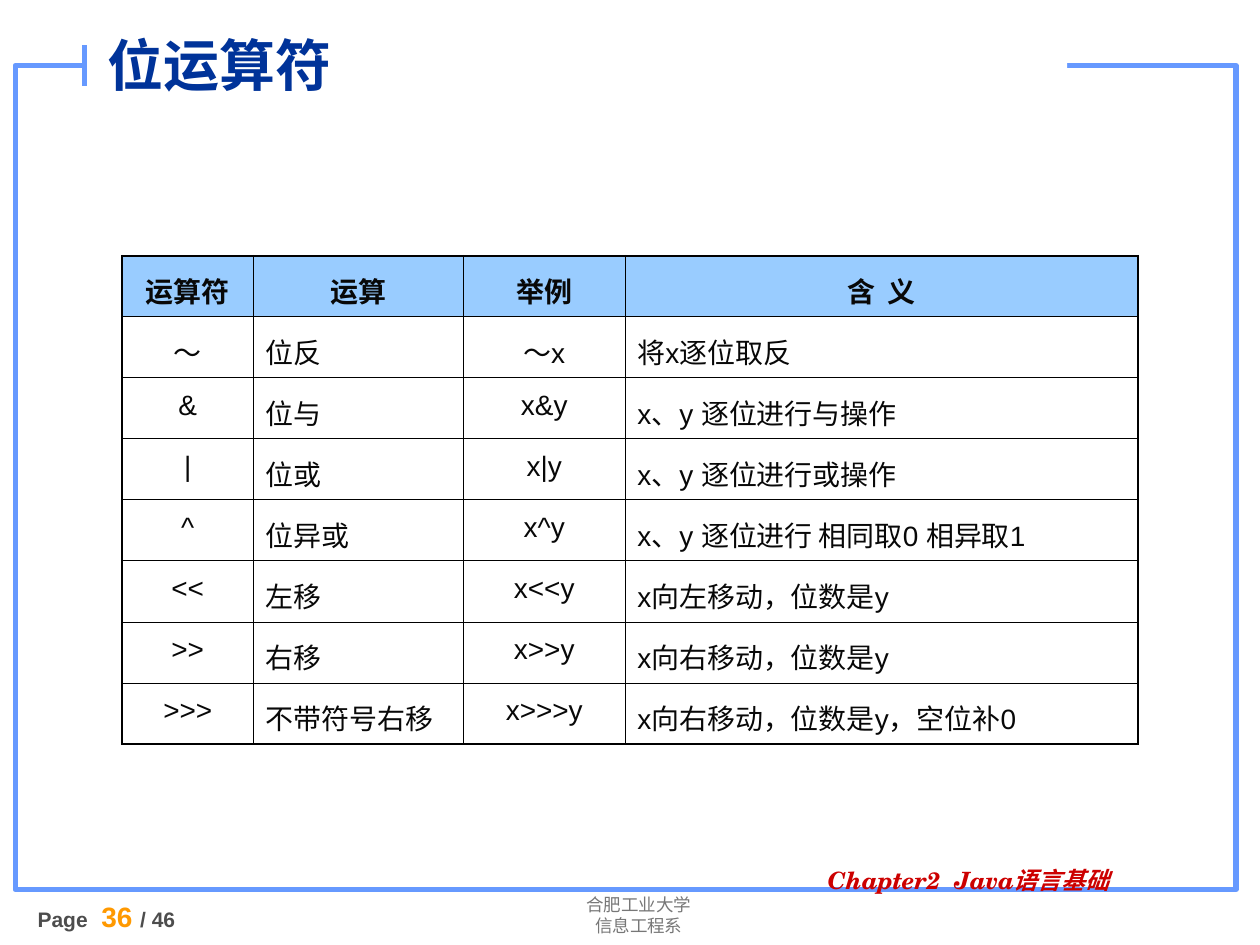
from dataclasses import dataclass

from lxml import etree
from pptx import Presentation
from pptx.dml.color import RGBColor
from pptx.enum.shapes import MSO_CONNECTOR, MSO_SHAPE
from pptx.enum.text import MSO_ANCHOR, MSO_AUTO_SIZE, PP_ALIGN
from pptx.oxml.ns import qn
from pptx.util import Inches, Pt

RECT, STRAIGHT = MSO_SHAPE.RECTANGLE, MSO_CONNECTOR.STRAIGHT
MIDDLE, NO_FIT = MSO_ANCHOR.MIDDLE, MSO_AUTO_SIZE.NONE
LEFT, CENTER = PP_ALIGN.LEFT, PP_ALIGN.CENTER

FRAME_BLUE, WHITE = "6699FF", "FFFFFF"
OUTER, INNER = 1.08, 0.45  # table border widths in points


@dataclass
class Style:
    size: float
    color: str
    name: str = "Arial"
    bold: bool = False
    italic: bool = False


TITLE = Style(32, "003399", bold=True)
SCHOOL = Style(10, "777777", "Roboto")
CHAPTER = Style(13.6, "CC0000", "TeX Gyre Schola", True, True)
PAGE = Style(12, "4D4D4D", bold=True)
PAGE_GAP = Style(16, "FF9900")
PAGE_NUMBER = Style(16, "FF9900", bold=True)
HEADER = Style(16, "080808", bold=True)
BODY = Style(16, "080808")

COLUMN_WIDTHS = (1.04, 1.67, 1.28, 4.07)
ROW_HEIGHT = 0.42
OPERATORS = (
    ("运算符", "运算", "举例", "含  义"),
    ("～", "位反", "～x", "将x逐位取反"),
    ("&", "位与", "x&y", "x、y 逐位进行与操作"),
    ("|", "位或", "x|y", "x、y 逐位进行或操作"),
    ("^", "位异或", "x^y", "x、y 逐位进行 相同取0 相异取1"),
    ("<<", "左移", "x<<y", "x向左移动，位数是y"),
    (">>", "右移", "x>>y", "x向右移动，位数是y"),
    (">>>", "不带符号右移", "x>>>y", "x向右移动，位数是y，空位补0"),
)


def rgb(color: str) -> RGBColor:
    return RGBColor.from_string(color)


def set_font(font, style: Style) -> None:
    font.name, font.size = style.name, Pt(style.size)
    font.bold, font.italic = style.bold, style.italic
    font.color.rgb = rgb(style.color)


def add_rect(s, x: float, y: float, w: float, h: float):
    sp = s.shapes.add_shape(RECT, Inches(x), Inches(y), Inches(w), Inches(h))
    sp.shadow.inherit = False
    return sp


def add_text(s, x: float, y: float, w: float, h: float):
    tf = s.shapes.add_textbox(Inches(x), Inches(y), Inches(w), Inches(h)).text_frame
    tf.word_wrap = True
    return tf


def set_border(cell, side: str, width: float) -> None:
    ln = etree.SubElement(cell._tc.get_or_add_tcPr(), qn(f"a:ln{side}"), w=str(Pt(width)))
    fill = etree.SubElement(ln, qn("a:solidFill"))
    etree.SubElement(fill, qn("a:srgbClr"), val="000000")


def add_frame(s) -> None:
    """Draw the blue frame, its gap behind the title and the end tick."""
    frame = add_rect(s, 0.12, 0.52, 9.69, 6.54)
    frame.fill.background()
    frame.line.color.rgb, frame.line.width = rgb(FRAME_BLUE), Pt(3)

    gap = add_rect(s, 0.67, 0.28, 7.8, 0.35)
    gap.fill.solid()
    gap.fill.fore_color.rgb = rgb(WHITE)
    gap.line.fill.background()

    tick = s.shapes.add_connector(
        STRAIGHT, Inches(0.67), Inches(0.36), Inches(0.67), Inches(0.68))
    tick.line.color.rgb, tick.line.width = rgb(FRAME_BLUE), Pt(3)
    etree.SubElement(tick._element.spPr, qn("a:effectLst"))


def add_footer(s) -> None:
    # School and department
    tf = add_text(s, 3.8, 7.05, 2.54, 0.44)
    tf.text = "合肥工业大学\n信息工程系"
    for p in tf.paragraphs:
        p.alignment = CENTER
        set_font(p.font, SCHOOL)

    # Page counter
    p = add_text(s, 0.2, 7.09, 1.81, 0.67).paragraphs[0]
    for text, style in (("Page ", PAGE), (" ", PAGE_GAP), ("36 ", PAGE_NUMBER), ("/ 46", PAGE)):
        r = p.add_run()
        r.text = text
        set_font(r.font, style)

    # Chapter name
    p = add_text(s, 6.47, 6.85, 3.07, 0.35).paragraphs[0]
    p.text = "Chapter2  Java语言基础"
    p.line_spacing = 0.9
    set_font(p.font, CHAPTER)


def set_title(s) -> None:
    title = s.shapes.title
    title.left, title.top = Inches(0.75), Inches(0.11)
    title.width, title.height = Inches(6.77), Inches(0.8)
    tf = title.text_frame
    tf.auto_size, tf.vertical_anchor = NO_FIT, MIDDLE
    p = tf.paragraphs[0]
    p.text, p.alignment = "位运算符", LEFT
    set_font(p.font, TITLE)


def add_operator_table(s) -> None:
    last_row, last_col = len(OPERATORS) - 1, len(COLUMN_WIDTHS) - 1
    table = s.shapes.add_table(
        last_row + 1, last_col + 1, Inches(0.97), Inches(2.03),
        Inches(sum(COLUMN_WIDTHS)), Inches(ROW_HEIGHT * len(OPERATORS))).table
    for column, width in zip(table.columns, COLUMN_WIDTHS):
        column.width = Inches(width)

    for i, row in enumerate(OPERATORS):
        table.rows[i].height = Inches(ROW_HEIGHT)
        for j, text in enumerate(row):
            cell = table.cell(i, j)
            p = cell.text_frame.paragraphs[0]
            p.text, p.line_spacing = text, 1.2
            p.alignment = CENTER if i == 0 or j in (0, 2) else LEFT
            set_font(p.font, BODY if i else HEADER)
            # Borders come before the fill in the cell's XML
            edges = {"L": j == 0, "R": j == last_col, "T": i == 0, "B": i == last_row}
            for side, outer in edges.items():
                set_border(cell, side, OUTER if outer else INNER)
            if i == 0:
                cell.fill.solid()
                cell.fill.fore_color.rgb = rgb("99CCFF")
            else:
                cell.fill.background()


def main() -> None:
    prs = Presentation()
    prs.slide_width, prs.slide_height = Inches(10), Inches(7.5)
    s = prs.slides.add_slide(prs.slide_layouts[5])
    add_frame(s)
    add_footer(s)
    set_title(s)
    # Bring the title in front of the frame gap
    s.shapes._spTree.append(s.shapes.title._element)
    add_operator_table(s)
    prs.save("out.pptx")


if __name__ == "__main__":
    main()
